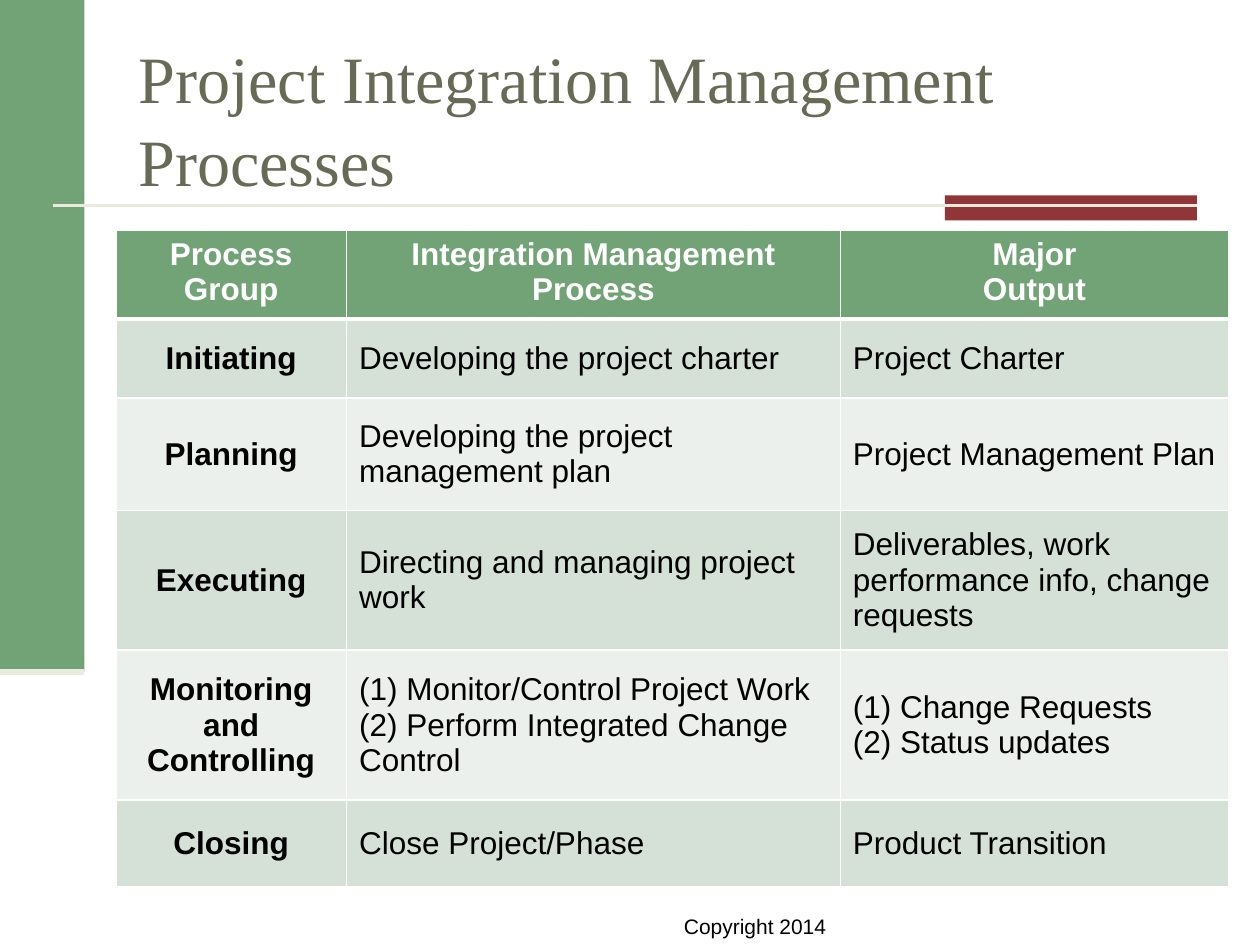
from dataclasses import dataclass

from lxml import etree
from pptx import Presentation
from pptx.dml.color import RGBColor
from pptx.enum.shapes import MSO_CONNECTOR, MSO_SHAPE
from pptx.enum.text import MSO_ANCHOR, PP_ALIGN
from pptx.oxml.ns import qn
from pptx.util import Inches, Pt

RECT = MSO_SHAPE.RECTANGLE
STRAIGHT = MSO_CONNECTOR.STRAIGHT
TOP, MIDDLE = MSO_ANCHOR.TOP, MSO_ANCHOR.MIDDLE
LEFT, CENTER = PP_ALIGN.LEFT, PP_ALIGN.CENTER


@dataclass(frozen=True)
class Theme:
    green: str = "72A376"
    red: str = "903638"
    cream: str = "EAEBDE"
    olive: str = "676A55"
    black: str = "000000"
    white: str = "FFFFFF"
    bands: tuple = ("D5E0D6", "EBF0EC")
    serif: str = "Times New Roman"
    sans: str = "Arial"
    title: float = 37.8
    body: float = 18
    small: float = 12


HEADS = ["Process Group", "Integration Management Process", "Major\nOutput"]
ROWS = [
    ["Initiating", "Developing the project charter", "Project Charter"],
    ["Planning", "Developing the project management plan",
     "Project Management Plan"],
    ["Executing", "Directing and managing project work",
     "Deliverables, work performance info, change requests"],
    ["Monitoring and Controlling",
     "(1) Monitor/Control Project Work\n(2) Perform Integrated Change Control",
     "(1) Change Requests\n(2) Status updates"],
    ["Closing", "Close Project/Phase", "Product Transition"],
]
WIDTHS = [1.83, 3.92, 3.08]
HEIGHTS = [0.66, 0.63, 0.89, 1.11, 1.19, 0.69]


class Painter:
    def __init__(self, slide, theme):
        self.slide = slide
        self.theme = theme

    def style(self, frame, text, size, color, font, bold=False, align=LEFT):
        """Set the text of a frame and format its runs."""
        frame.text = text
        for para in frame.paragraphs:
            para.alignment = align
            for run in para.runs:
                run.font.size = Pt(size)
                run.font.name = font
                run.font.bold = bold
                run.font.color.rgb = RGBColor.from_string(color)

    def block(self, x, y, w, h, color):
        shape = self.slide.shapes.add_shape(
            RECT, Inches(x), Inches(y), Inches(w), Inches(h))
        shape.shadow.inherit = False
        shape.fill.solid()
        shape.fill.fore_color.rgb = RGBColor.from_string(color)
        shape.line.fill.background()

    def rule(self, x, y, end, width):
        line = self.slide.shapes.add_connector(
            STRAIGHT, Inches(x), Inches(y), Inches(end), Inches(y))
        line.line.color.rgb = RGBColor.from_string(self.theme.cream)
        line.line.width = Pt(width)
        etree.SubElement(line._element.spPr, qn("a:effectLst"))

    def label(self, x, y, w, h, text, size, color, font, wrap=True):
        box = self.slide.shapes.add_textbox(
            Inches(x), Inches(y), Inches(w), Inches(h))
        frame = box.text_frame
        frame.word_wrap = wrap
        self.style(frame, text, size, color, font)
        return frame

    def border(self, cell, bottom):
        """Draw white cell edges, the lower one in the given points."""
        props = cell._tc.get_or_add_tcPr()
        edges = [("L", 1), ("R", 1), ("T", 1), ("B", bottom)]
        for place, (side, width) in enumerate(edges):
            edge = etree.Element(qn(f"a:ln{side}"), w=str(Pt(width)))
            fill = etree.SubElement(edge, qn("a:solidFill"))
            etree.SubElement(fill, qn("a:srgbClr"), val=self.theme.white)
            props.insert(place, edge)

    def table(self, x, y, widths, heights, rows):
        look = self.theme
        grid = self.slide.shapes.add_table(
            len(rows), len(widths), Inches(x), Inches(y),
            Inches(sum(widths)), Inches(sum(heights))).table
        for col, width in zip(grid.columns, widths):
            col.width = Inches(width)
        for r, row in enumerate(rows):
            grid.rows[r].height = Inches(heights[r])
            head = r == 0
            for c, text in enumerate(row):
                cell = grid.cell(r, c)
                strong = head or c == 0
                self.style(cell.text_frame, text, look.body,
                           look.white if head else look.black, look.sans,
                           strong, CENTER if strong else LEFT)
                cell.vertical_anchor = TOP if head else MIDDLE
                cell.fill.solid()
                cell.fill.fore_color.rgb = RGBColor.from_string(
                    look.green if head else look.bands[(r - 1) % 2])
                self.border(cell, 3 if head else 1)


def main():
    deck = Presentation()
    deck.slide_width, deck.slide_height = Inches(10), Inches(7.5)
    slide = deck.slides.add_slide(deck.slide_layouts[6])
    look = Theme()
    paint = Painter(slide, look)

    paint.block(0, 0, 0.67, 5.33, look.green)
    paint.block(7.5, 1.55, 2, 0.2, look.red)
    paint.rule(0.42, 1.63, 9.5, 1.5)
    paint.rule(0, 5.33, 0.67, 3.5)

    paint.label(5.33, 7.2, 1.34, 0.3, "Copyright 2014",
                look.small, look.black, look.sans, wrap=False)
    title = paint.label(1, 0.3, 8.5, 1.25,
                        "Project Integration Management Processes",
                        look.title, look.olive, look.serif)
    title.vertical_anchor = MIDDLE
    title.paragraphs[0].line_spacing = 1.05

    paint.table(0.92, 1.83, WIDTHS, HEIGHTS, [HEADS] + ROWS)
    deck.save("out.pptx")


if __name__ == "__main__":
    main()
